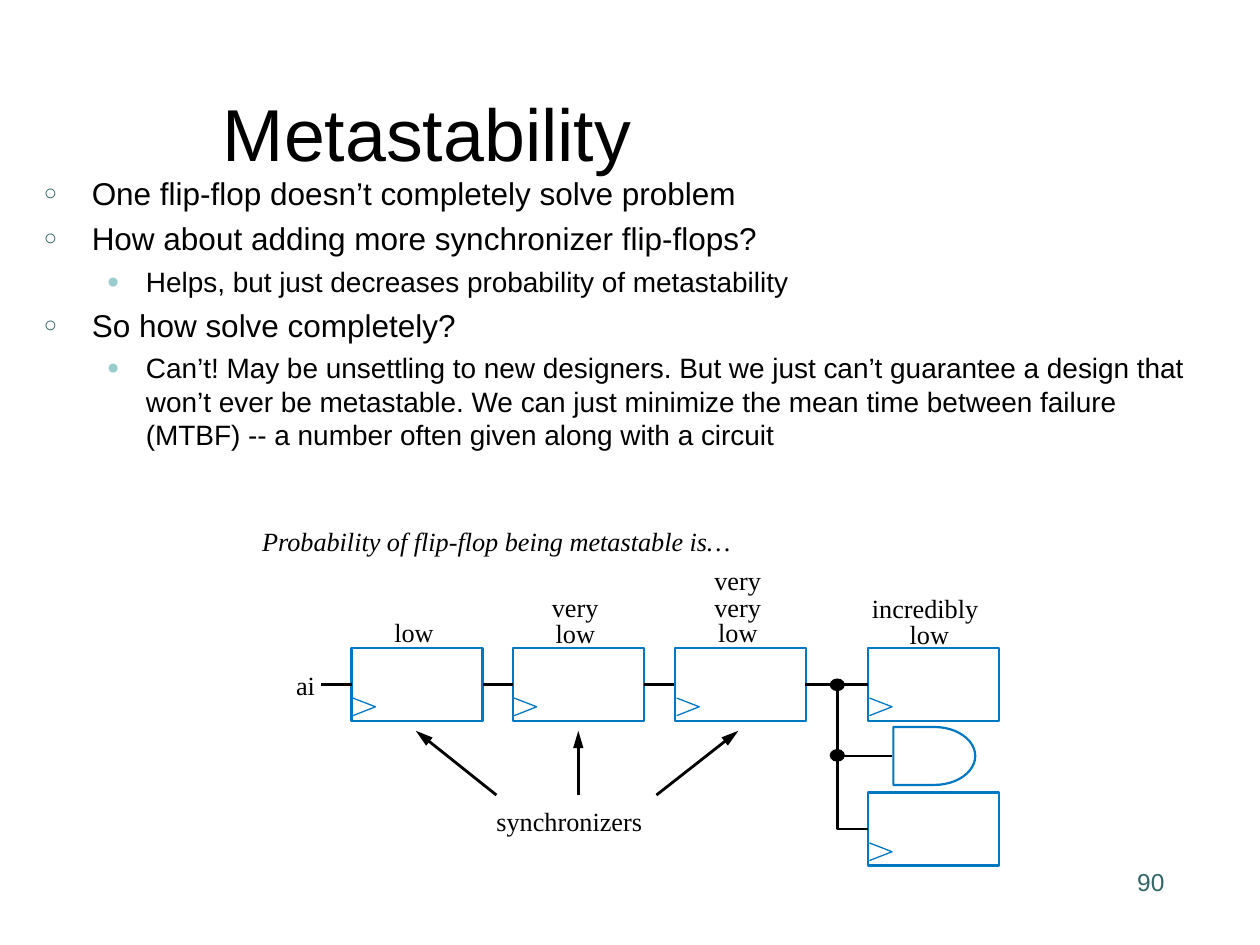
import lxml.etree
import pptx
import pptx.dml.color
import pptx.enum.shapes
import pptx.enum.text
import pptx.oxml.ns
import pptx.util

Inches = pptx.util.Inches
Pt = pptx.util.Pt
RGBColor = pptx.dml.color.RGBColor
MSO_SHAPE = pptx.enum.shapes.MSO_SHAPE
ALIGN = pptx.enum.text.PP_ALIGN
ANCHOR = pptx.enum.text.MSO_ANCHOR
qn = pptx.oxml.ns.qn

BLACK = RGBColor(0x00, 0x00, 0x00)
WHITE = RGBColor(0xFF, 0xFF, 0xFF)
BLUE = RGBColor(0x00, 0x78, 0xC1)
TEAL = RGBColor(0x33, 0x66, 0x66)
PALE_TEAL = RGBColor(0x99, 0xCC, 0xCC)

BULLET_LEVELS = [
    dict(margin=0.38, hanging=0.38, size=18, space=4.5, symbol="○", color=TEAL, percent=70),
    dict(margin=0.81, hanging=0.31, size=16, space=4, symbol="●", color=PALE_TEAL, percent=75),
]


class SlideBuilder:
    """Draws text and circuit elements on one slide in a shared style."""

    def __init__(self, slide, wire_width=1.62, outline_width=1.25):
        self.slide = slide
        self.shapes = slide.shapes
        self.wire_width = wire_width
        self.outline_width = outline_width

    def style_font(self, paragraph, size, color=BLACK, name="Arial", italic=False):
        font = paragraph.font
        font.name, font.size, font.italic = name, Pt(size), italic
        font.color.rgb = color

    def box(self, left, top, width, height):
        shape = self.shapes.add_textbox(*map(Inches, (left, top, width, height)))
        shape.text_frame.word_wrap = True
        return shape.text_frame

    def text(self, text, bounds, size, color=BLACK, align=ALIGN.LEFT, anchor=ANCHOR.TOP):
        frame = self.box(*bounds)
        frame.vertical_anchor = anchor
        paragraph = frame.paragraphs[0]
        paragraph.text, paragraph.alignment = text, align
        self.style_font(paragraph, size, color)

    def label(self, text, left, top, width, italic=False):
        frame = self.box(left, top, width, 0.25)
        frame.word_wrap = False
        frame.auto_size = pptx.enum.text.MSO_AUTO_SIZE.SHAPE_TO_FIT_TEXT
        frame.margin_left = frame.margin_right = frame.margin_top = frame.margin_bottom = 0
        paragraph = frame.paragraphs[0]
        paragraph.text = text
        self.style_font(paragraph, 15, name="Times New Roman", italic=italic)

    def bullets(self, items, bounds):
        frame = self.box(*bounds)
        for index, (level, text) in enumerate(items):
            style = BULLET_LEVELS[level]
            paragraph = frame.add_paragraph() if index else frame.paragraphs[0]
            paragraph.text, paragraph.level = text, level
            paragraph.space_before = Pt(style["space"] if index else 0)
            properties = paragraph._p.get_or_add_pPr()
            properties.set("marL", str(Inches(style["margin"])))
            properties.set("indent", str(-Inches(style["hanging"])))
            bullet_color = lxml.etree.SubElement(properties, qn("a:buClr"))
            lxml.etree.SubElement(bullet_color, qn("a:srgbClr"), val=str(style["color"]))
            lxml.etree.SubElement(properties, qn("a:buSzPct"), val=str(style["percent"] * 1000))
            lxml.etree.SubElement(properties, qn("a:buFont"), typeface="Arial")
            lxml.etree.SubElement(properties, qn("a:buChar"), char=style["symbol"])
            self.style_font(paragraph, style["size"])

    def outline(self, shape, color, width, fill=None):
        shape.shadow.inherit = False
        shape.line.color.rgb, shape.line.width = color, Pt(width)
        if fill is None:
            shape.fill.background()
        else:
            shape.fill.solid()
            shape.fill.fore_color.rgb = fill

    def preset(self, kind, left, top, width, height, color, line_width, fill=None):
        shape = self.shapes.add_shape(kind, *map(Inches, (left, top, width, height)))
        self.outline(shape, color, line_width, fill)

    def polyline(self, points, color, width):
        start, *rest = [(Inches(x), Inches(y)) for x, y in points]
        builder = self.shapes.build_freeform(*start)
        builder.add_line_segments(rest, close=False)
        self.outline(builder.convert_to_shape(), color, width)

    def wire(self, x1, y1, x2, y2, arrow=False):
        connector = self.shapes.add_connector(
            pptx.enum.shapes.MSO_CONNECTOR.STRAIGHT, *map(Inches, (x1, y1, x2, y2)))
        connector.line.color.rgb, connector.line.width = BLACK, Pt(self.wire_width)
        if arrow:
            lxml.etree.SubElement(connector.line._get_or_add_ln(), qn("a:tailEnd"),
                                  type="triangle", w="med", len="lg")
        lxml.etree.SubElement(connector._element.spPr, qn("a:effectLst"))

    def junction(self, x, y):
        self.preset(MSO_SHAPE.OVAL, x - 0.05, y - 0.04, 0.11, 0.09, BLACK, 0.75, BLACK)

    def gate(self, left, top):
        self.preset(MSO_SHAPE.FLOWCHART_DELAY, left, top, 0.65, 0.46,
                    BLUE, self.outline_width, WHITE)

    def flip_flop(self, left, top):
        self.preset(MSO_SHAPE.RECTANGLE, left, top, 1.04, 0.58, BLUE, self.outline_width)
        clock = [(left + 0.01, top + 0.54), (left + 0.19, top + 0.47), (left + 0.01, top + 0.4)]
        self.polyline(clock, BLUE, 0.75)


def main():
    presentation = pptx.Presentation()
    presentation.slide_width, presentation.slide_height = Inches(10), Inches(7.5)
    builder = SlideBuilder(presentation.slides.add_slide(presentation.slide_layouts[6]))

    builder.text("Metastability", (1.67, 0.21, 7.67, 1.67), 42, anchor=ANCHOR.MIDDLE)
    builder.bullets([
        (0, "One flip-flop doesn’t completely solve problem"),
        (0, "How about adding more synchronizer flip-flops?"),
        (1, "Helps, but just decreases probability of metastability"),
        (0, "So how solve completely?"),
        (1, "Can’t! May be unsettling to new designers. But we just can’t guarantee a design "
            "that won’t ever be metastable. We can just minimize the mean time between failure "
            "(MTBF) -- a number often given along with a circuit"),
    ], (0.25, 1.33, 9.42, 2.75))

    builder.gate(7.09, 5.77)
    for left, top in [(2.79, 5.14), (4.07, 5.14), (5.36, 5.14), (6.89, 5.14), (6.89, 6.29)]:
        builder.flip_flop(left, top)

    for start, end in [(2.55, 2.79), (3.83, 4.07), (5.11, 5.35), (6.39, 6.89)]:
        builder.wire(start, 5.43, end, 5.43)
    builder.wire(6.64, 6, 7.08, 6)
    builder.polyline([(6.89, 6.58), (6.65, 6.58), (6.65, 5.42)], BLACK, builder.wire_width)
    for y in (5.43, 5.99):
        builder.junction(6.64, y)
    for start, end in [(3.94, 3.3), (4.59, 4.59), (5.21, 5.86)]:
        builder.wire(start, 6.31, end, 5.8, arrow=True)

    for label in [
        ("ai", 2.35, 5.31, 0.17),
        ("synchronizers", 3.94, 6.39, 1.18),
        ("low", 3.13, 4.89, 0.35),
        ("very", 4.38, 4.69, 0.4),
        ("low", 4.41, 4.9, 0.35),
        ("very", 5.67, 4.48, 0.4),
        ("very", 5.67, 4.69, 0.4),
        ("low", 5.7, 4.89, 0.35),
        ("incredibly", 6.92, 4.7, 0.88),
        ("low", 7.22, 4.91, 0.35),
    ]:
        builder.label(*label)
    builder.label("Probability of flip-flop being metastable is…", 2.08, 4.17, 3.75, italic=True)
    builder.text("90", (7.92, 6.83, 1.42, 0.5), 14, TEAL, ALIGN.RIGHT)

    presentation.save("out.pptx")


if __name__ == "__main__":
    main()
